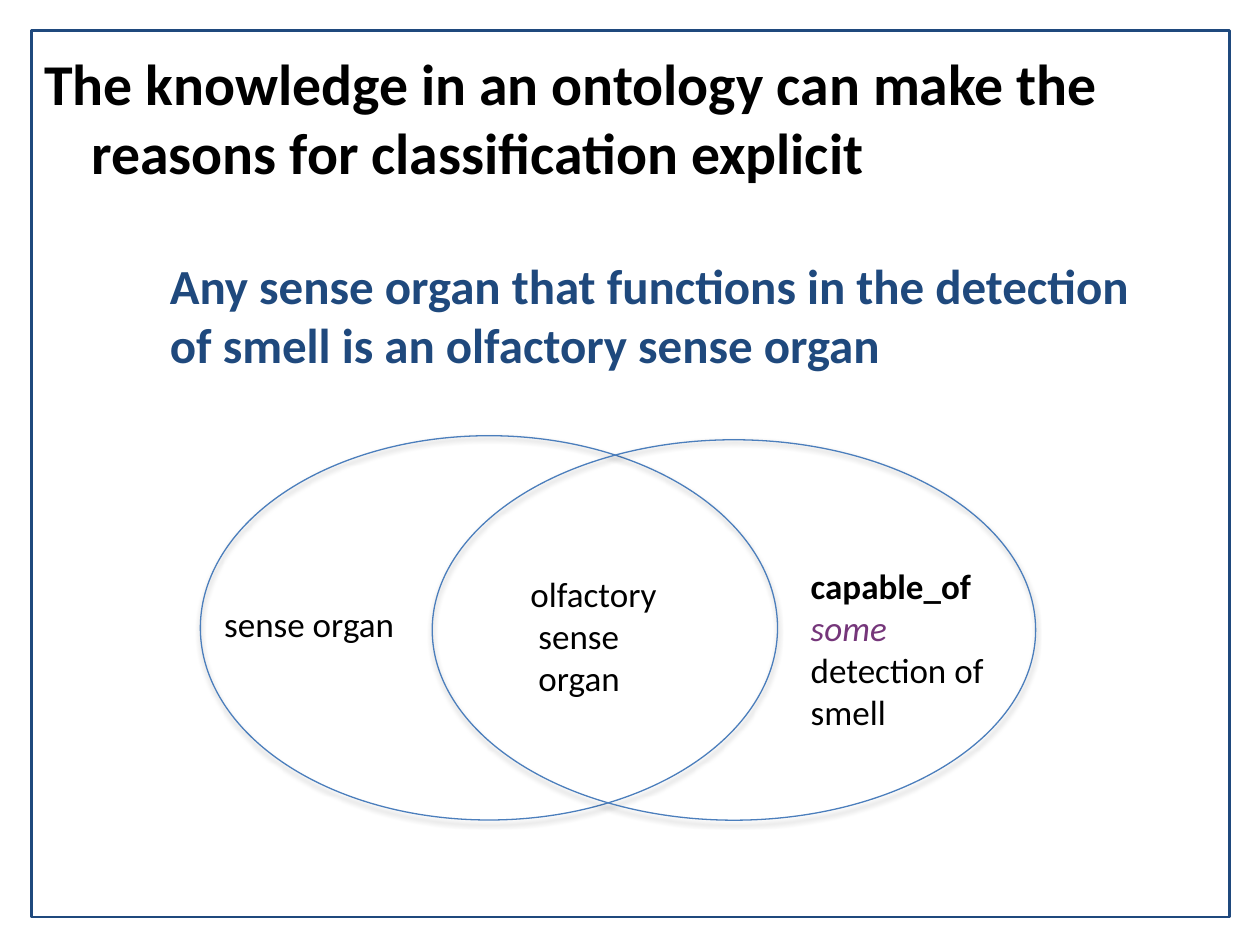
from dataclasses import dataclass
from lxml.etree import SubElement
from pptx import Presentation
from pptx.dml.color import RGBColor as Rgb
from pptx.enum.shapes import MSO_SHAPE as Kind
from pptx.enum.text import MSO_ANCHOR as Anchor, MSO_AUTO_SIZE as Fit, PP_ALIGN as Align
from pptx.oxml.ns import qn
from pptx.util import Pt


@dataclass(frozen=True)
class Theme:
    font: str = "Calibri"
    ink: str = "000000"
    navy: str = "1F497D"
    blue: str = "4B7EBC"
    plum: str = "75367A"
    head: float = 33
    claim: float = 28
    label: float = 20


@dataclass(frozen=True)
class Run:
    text: str
    color: str = Theme.ink
    bold: bool = False
    slant: bool = False


class Deck:
    def __init__(self, theme):
        self.theme = theme
        self.prs = Presentation()
        self.prs.slide_width, self.prs.slide_height = Pt(720), Pt(540)
        self.slide = self.prs.slides.add_slide(self.prs.slide_layouts[5])

    def place(self, shape, box):
        shape.left, shape.top, shape.width, shape.height = map(Pt, box)

    def fill_text(self, frame, lines, size, left=0, first=0):
        """Fill a frame with lines, each a list of runs."""
        frame.word_wrap = True
        frame.auto_size = Fit.NONE
        frame.vertical_anchor = Anchor.TOP
        for i, line in enumerate(lines):
            para = frame.paragraphs[0] if i == 0 else frame.add_paragraph()
            para.alignment = Align.LEFT
            props = para._p.get_or_add_pPr()
            props.set("marL", str(Pt(left if i == 0 else left + size * 0.23)))
            props.set("indent", str(Pt(first)))
            for part in line:
                run = para.add_run()
                run.text = part.text
                font = run.font
                font.name, font.size = self.theme.font, Pt(size)
                font.bold, font.italic = part.bold, part.slant
                font.color.rgb = Rgb.from_string(part.color)

    def title(self, box, line):
        shape = self.slide.shapes.title
        self.place(shape, box)
        self.fill_text(shape.text_frame, [line], self.theme.head, 27, -27)

    def text(self, box, lines, size):
        shape = self.slide.shapes.add_textbox(*map(Pt, box))
        self.fill_text(shape.text_frame, lines, size)

    def outline(self, kind, box, color, width, shade=False):
        shape = self.slide.shapes.add_shape(kind, *map(Pt, box))
        shape.fill.background()
        shape.line.color.rgb = Rgb.from_string(color)
        shape.line.width = Pt(width)
        shape.shadow.inherit = False
        if shade:
            self.shade(shape)

    def shade(self, shape):
        """Soft shadow straight below the line."""
        effects = shape._element.spPr.find(qn("a:effectLst"))
        drop = SubElement(effects, qn("a:outerShdw"), blurRad=str(Pt(3.1)),
                          dist=str(Pt(1.8)), dir="5400000", rotWithShape="0")
        color = SubElement(drop, qn("a:srgbClr"), val=self.theme.ink)
        SubElement(color, qn("a:alpha"), val="35000")


def main():
    look = Theme()
    deck = Deck(look)

    # Heading and claim
    deck.title((18, 23.5, 658, 90), [Run(
        "The knowledge in an ontology can make the reasons for classification explicit",
        bold=True)])
    deck.text((90, 142.5, 586, 80), [[Run(
        "Any sense organ that functions in the detection of smell is an olfactory sense organ",
        look.navy, bold=True)]], look.claim)

    # Frame and the two overlapping sets
    deck.outline(Kind.RECTANGLE, (18, 17.3, 684.7, 506.7), look.navy, 1.5)
    for box in ((114.5, 249, 329.8, 219.6), (247, 251.3, 344.8, 217.4)):
        deck.outline(Kind.OVAL, box, look.blue, 0.75, shade=True)

    # Set labels
    labels = (
        ((121, 340.5, 144.7, 31.7), [[Run("sense organ")]]),
        ((456.2, 319, 132.5, 104.4), [[
            Run("capable_of ", bold=True),
            Run("some", look.plum, slant=True),
            Run(" detection of smell")]]),
        ((296, 323.6, 111.6, 80), [[Run(word)] for word in ("olfactory", "sense", "organ")]),
    )
    for box, lines in labels:
        deck.text(box, lines, look.label)

    deck.prs.save("out.pptx")


if __name__ == "__main__":
    main()
